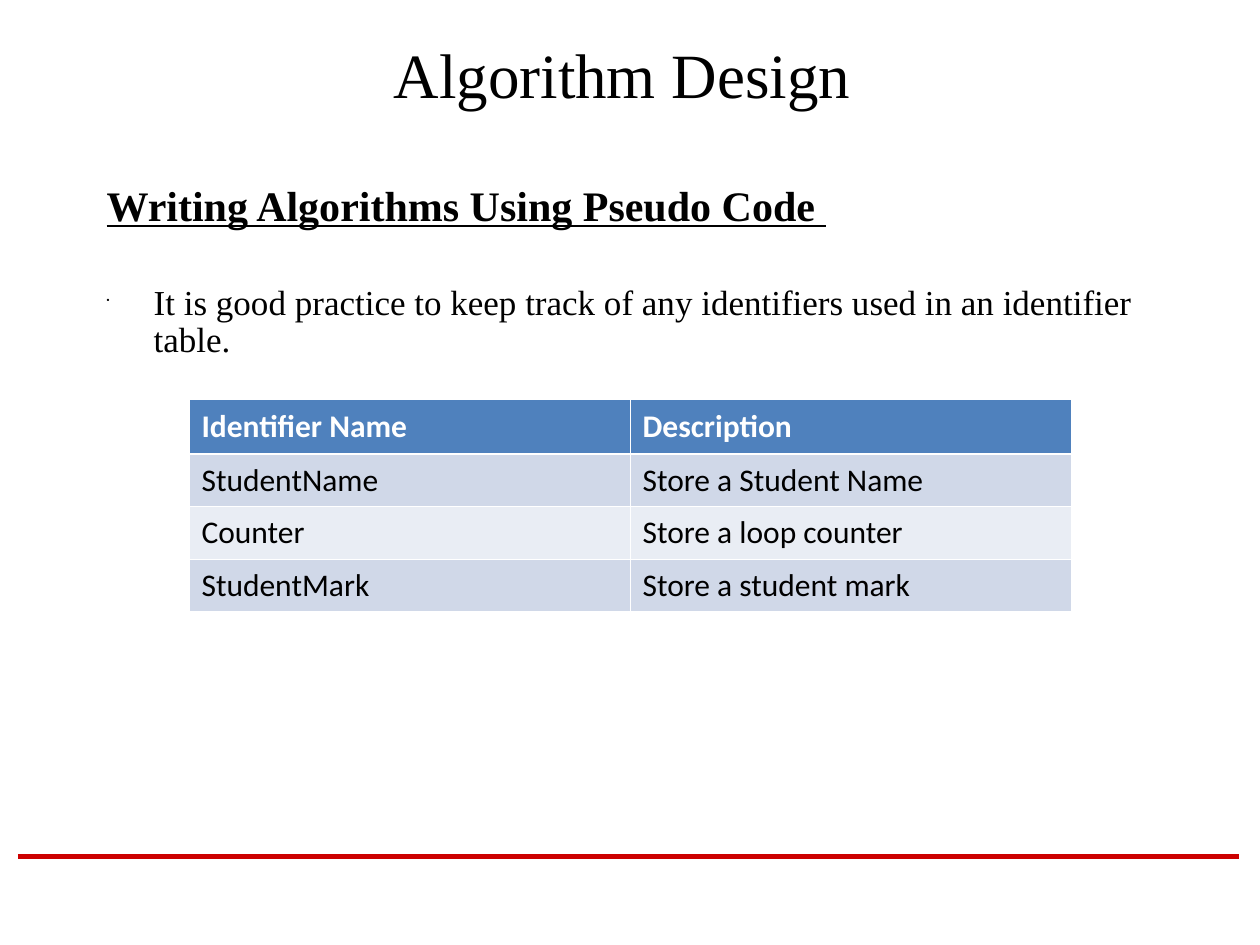
from lxml import etree
from pptx import Presentation
from pptx.dml.color import RGBColor
from pptx.enum.shapes import MSO_CONNECTOR
from pptx.enum.text import MSO_ANCHOR, PP_ALIGN
from pptx.oxml.ns import qn
from pptx.util import Cm, Pt

STRAIGHT = MSO_CONNECTOR.STRAIGHT
MIDDLE = MSO_ANCHOR.MIDDLE
CENTER = PP_ALIGN.CENTER

BLACK = RGBColor(0x00, 0x00, 0x00)
WHITE = RGBColor(0xFF, 0xFF, 0xFF)
RED = RGBColor(0xCC, 0x00, 0x00)
HEADER_BLUE = RGBColor(0x4F, 0x81, 0xBD)
BANDS = (RGBColor(0xE9, 0xED, 0xF4), RGBColor(0xD0, 0xD8, 0xE8))

SERIF = "Times New Roman"
SANS = "Calibri"

TITLE = "Algorithm Design "
HEADING = "Writing Algorithms Using Pseudo Code "
ADVICE = "It is good practice to keep track of any identifiers used in an identifier table."
IDENTIFIERS = [
    ("Identifier Name", "Description"),
    ("StudentName", "Store a Student Name"),
    ("Counter", "Store a loop counter"),
    ("StudentMark", "Store a student mark"),
]
COLUMN_WIDTH = Cm(8.89)
HEADER_HEIGHT, ROW_HEIGHT = Cm(1.09), Cm(1.06)
THIN, THICK = Pt(0.45), Pt(1.47)


def style(paragraph, text, font_name, size, color=BLACK, bold=False):
    paragraph.text = text
    font = paragraph.font
    font.name, font.size, font.bold = font_name, Pt(size), bold
    font.color.rgb = color


def add_frame(slide, left, top, width, height):
    frame = slide.shapes.add_textbox(Cm(left), Cm(top), Cm(width), Cm(height)).text_frame
    frame.word_wrap = True
    return frame


def set_hanging(paragraph, bullet=None):
    properties = paragraph._p.get_or_add_pPr()
    properties.set("marL", str(Cm(0.95)))
    properties.set("indent", str(-Cm(0.95)))
    if bullet:
        etree.SubElement(properties, qn("a:buSzPct"), val="25000")
        etree.SubElement(properties, qn("a:buChar"), char=bullet)


def set_borders(cell, widths):
    properties = cell._tc.get_or_add_tcPr()
    for position, (side, width) in enumerate(widths.items()):
        line = etree.Element(qn(f"a:{side}"), w=str(width))
        fill = etree.SubElement(line, qn("a:solidFill"))
        etree.SubElement(fill, qn("a:srgbClr"), val=str(WHITE))
        properties.insert(position, line)


def add_identifier_table(slide):
    rows, columns = len(IDENTIFIERS), len(IDENTIFIERS[0])
    height = HEADER_HEIGHT + ROW_HEIGHT * (rows - 1)
    table = slide.shapes.add_table(
        rows, columns, Cm(3.81), Cm(8.06), COLUMN_WIDTH * columns, height
    ).table
    for r, entries in enumerate(IDENTIFIERS):
        header = r == 0
        table.rows[r].height = HEADER_HEIGHT if header else ROW_HEIGHT
        for c, entry in enumerate(entries):
            cell = table.cell(r, c)
            cell.vertical_anchor = MIDDLE
            cell.fill.solid()
            cell.fill.fore_color.rgb = HEADER_BLUE if header else BANDS[r % 2]
            set_borders(cell, {
                "lnL": THIN,
                "lnR": THIN,
                "lnT": THICK if r == 1 else THIN,
                "lnB": THICK if header else THIN,
            })
            label = cell.text_frame.paragraphs[0]
            label.space_before = Pt(4.5)
            style(label, entry, SANS, 18, WHITE if header else BLACK, header)


def main():
    deck = Presentation()
    deck.slide_width, deck.slide_height = Cm(25.4), Cm(19.05)
    slide = deck.slides.add_slide(deck.slide_layouts[6])

    rule = slide.shapes.add_connector(STRAIGHT, Cm(0.36), Cm(17.27), Cm(24.97), Cm(17.27))
    rule.line.color.rgb = RED
    rule.line.width = Pt(3)
    etree.SubElement(rule._element.spPr, qn("a:effectLst"))

    title_frame = add_frame(slide, 1.9, 0.43, 21.6, 2.11)
    title_frame.vertical_anchor = MIDDLE
    title = title_frame.paragraphs[0]
    title.alignment = CENTER
    style(title, TITLE, SERIF, 36)

    body = add_frame(slide, 1.9, 3.61, 22.43, 13.56)
    heading, advice = body.paragraphs[0], body.add_paragraph()
    style(heading, HEADING, SERIF, 24, bold=True)
    heading.font.underline = True
    style(advice, ADVICE, SERIF, 20)
    for paragraph, gap, bullet in ((heading, 6, None), (advice, 31, "•")):
        paragraph.line_spacing = 0.9
        paragraph.space_before = Pt(gap)
        set_hanging(paragraph, bullet)

    add_identifier_table(slide)
    deck.save("out.pptx")


if __name__ == "__main__":
    main()
